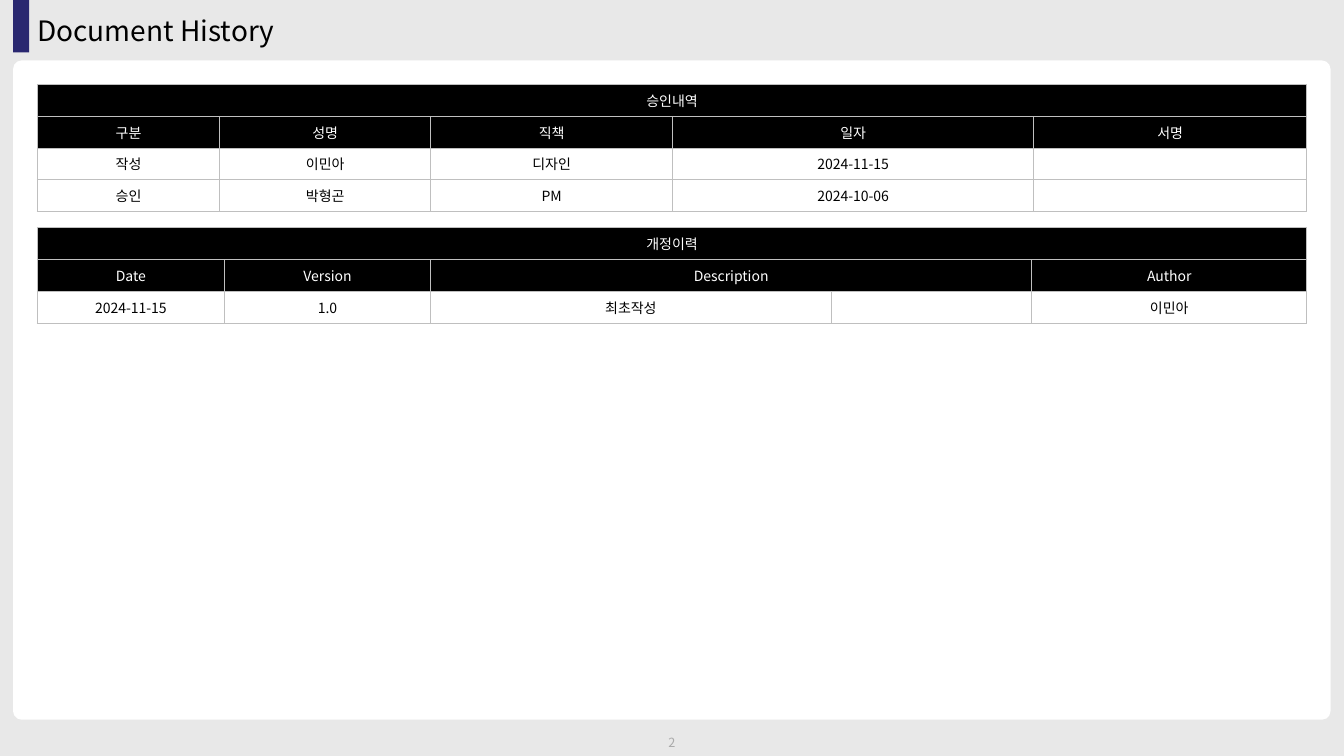
from lxml.etree import SubElement
from pptx import Presentation
from pptx.dml.color import RGBColor
from pptx.enum.shapes import MSO_SHAPE
from pptx.enum.text import MSO_ANCHOR, PP_ALIGN
from pptx.oxml import parse_xml
from pptx.oxml.ns import nsdecls, qn
from pptx.util import Pt

FONT = "Noto Sans CJK KR"
COLORS = {
    "background": "E8E8E8", "panel": "FFFFFF", "accent": "292770",
    "header": "000000", "body": "FFFFFF", "header_text": "FFFFFF",
    "text": "000000", "border": "BFBFBF", "page": "AAAAAA",
}
LEFT = 26.64
ROW_HEIGHT = 22.68


def rgb(name):
    """Return the named palette entry as a colour."""
    return RGBColor.from_string(COLORS[name])


def add_run(p, text, size, color):
    """Add a run with its Latin and East Asian typeface."""
    r = p.add_run()
    r.text = text
    r.font.size = Pt(size)
    r.font.color.rgb = rgb(color)
    r.font.name = FONT
    SubElement(r.font._element, qn("a:ea"), typeface=FONT)


prs = Presentation()
prs.slide_width, prs.slide_height = Pt(960), Pt(540)
s = prs.slides.add_slide(prs.slide_layouts[5])
s.background.fill.solid()
s.background.fill.fore_color.rgb = rgb("background")

# Panel and title accent
for kind, color, x, y, w, h in [
    (MSO_SHAPE.ROUNDED_RECTANGLE, "panel", 9.36, 43.2, 941.04, 470.88),
    (MSO_SHAPE.RECTANGLE, "accent", 9.36, 0, 11.5, 37.44),
]:
    sp = s.shapes.add_shape(kind, Pt(x), Pt(y), Pt(w), Pt(h))
    sp.shadow.inherit = False
    sp.fill.solid()
    sp.fill.fore_color.rgb = rgb(color)
    sp.line.fill.background()
    if kind == MSO_SHAPE.ROUNDED_RECTANGLE:
        sp.adjustments[0] = 0.013

# Title and page number
title = s.shapes.title
title.left, title.top, title.width, title.height = Pt(LEFT), Pt(9.36), Pt(680.4), Pt(28.08)
page = s.shapes.add_textbox(Pt(462.96), Pt(524.88), Pt(33.84), Pt(11.52))
for sp, text, size, color, align, anchor in [
    (title, "Document History", 20, "text", PP_ALIGN.LEFT, MSO_ANCHOR.MIDDLE),
    (page, "2", 9, "page", PP_ALIGN.CENTER, MSO_ANCHOR.TOP),
]:
    tf = sp.text_frame
    tf.word_wrap = True
    tf.vertical_anchor = anchor
    tf.margin_left = tf.margin_right = tf.margin_top = tf.margin_bottom = 0
    p = tf.paragraphs[0]
    p.alignment = align
    add_run(p, text, size, color)
title.text_frame.paragraphs[0].line_spacing = 0.9

# Tables: top, column widths, rows, merged ranges as (row, first, last)
tables = [
    (60.3, [130.3, 150.7, 172.8, 257.9, 195.1], [
        ["승인내역", "", "", "", ""],
        ["구분", "성명", "직책", "일자", "서명"],
        ["작성", "이민아", "디자인", "2024-11-15", ""],
        ["승인", "박형곤", "PM", "2024-10-06", ""],
    ], [(0, 0, 4)]),
    (162.6, [133.6, 147.4, 286, 143.3, 196.5], [
        ["개정이력", "", "", "", ""],
        ["Date", "Version", "Description", "", "Author"],
        ["2024-11-15", "1.0", "최초작성", "", "이민아"],
    ], [(0, 0, 4), (1, 2, 3)]),
]
for top, widths, rows, merges in tables:
    frame = s.shapes.add_table(len(rows), len(widths), Pt(LEFT), Pt(top),
                               Pt(sum(widths)), Pt(ROW_HEIGHT * len(rows)))
    table = frame.table
    table.first_row = table.horz_banding = False
    for column, width in zip(table.columns, widths):
        column.width = Pt(width)
    for i, values in enumerate(rows):
        table.rows[i].height = Pt(ROW_HEIGHT)
        header = i < 2
        for j, text in enumerate(values):
            cell = table.cell(i, j)
            cell.vertical_anchor = MSO_ANCHOR.MIDDLE
            cell.margin_top = cell.margin_bottom = Pt(2)
            tcPr = cell._tc.get_or_add_tcPr()
            for side in "LRTB":
                tcPr.append(parse_xml(
                    f'<a:ln{side} {nsdecls("a")} w="{Pt(0.5)}"><a:solidFill>'
                    f'<a:srgbClr val="{COLORS["border"]}"/></a:solidFill></a:ln{side}>'))
            cell.fill.solid()
            cell.fill.fore_color.rgb = rgb("header" if header else "body")
            p = cell.text_frame.paragraphs[0]
            p.alignment = PP_ALIGN.CENTER
            if text:
                add_run(p, text, 10, "header_text" if header else "text")
            else:
                SubElement(p._p, qn("a:endParaRPr"), sz="1000")
    for row, first, last in merges:
        table.cell(row, first).merge(table.cell(row, last))

prs.save("out.pptx")
